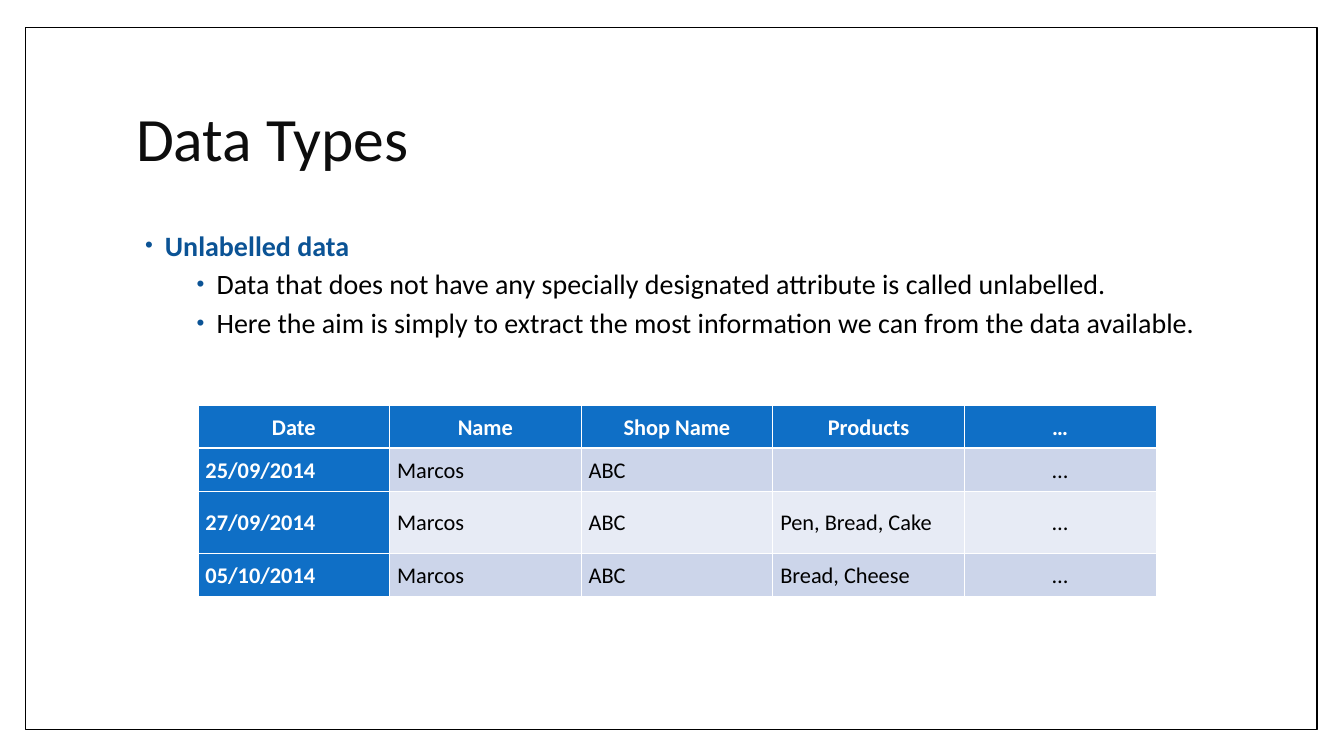
from pptx import Presentation
from pptx.dml.color import RGBColor
from pptx.enum.shapes import MSO_SHAPE
from pptx.enum.text import MSO_ANCHOR, PP_ALIGN
from pptx.oxml import parse_xml
from pptx.oxml.ns import nsdecls
from pptx.util import Cm, Pt

# Content
TITLE = "Data Types"
POINTS = [  # level, text
    (0, "Unlabelled data"),
    (1, "Data that does not have any specially designated attribute is called unlabelled."),
    (1, "Here the aim is simply to extract the most information we can from the data available."),
]
PURCHASES = [
    ("Date", "Name", "Shop Name", "Products", "…"),
    ("25/09/2014", "Marcos", "ABC", "", "…"),
    ("27/09/2014", "Marcos", "ABC", "Pen, Bread, Cake", "…"),
    ("05/10/2014", "Marcos", "ABC", "Bread, Cheese", "…"),
]

THEME = {
    "font": "Calibri",
    "white": "FFFFFF", "black": "000000", "title": "0D0D0D", "accent": "0B5395",
    "header": "0F6FC6", "odd": "CCD5EA", "even": "E7EBF5",
    "title_size": 44, "body_size": 20, "table_size": 16,
}

# Layout in cm
SLIDE_SIZE = (33.88, 19.05)
FRAME = (0.64, 0.69, 32.56, 17.7)
TITLE_BOX = (3.18, 1.7, 27.43, 3.76)
POINTS_BOX = (3.18, 5.72, 27.43, 11.23)
TABLE_LEFT, TABLE_TOP, COLUMN_WIDTH = 4.99, 10.2, 4.83
ROW_HEIGHTS = (1.09, 1.09, 1.56, 1.09)
BULLET_HANG = 0.5
LEVEL_INDENTS = (0.73, 2.03)


def color(name):
    return RGBColor.from_string(THEME[name])


def apply(target, formats):
    for attribute, value in formats.items():
        setattr(target, attribute, value)


def write(paragraph, text, size, ink, bold=False, **formats):
    apply(paragraph, formats)
    run = paragraph.add_run()
    run.text = text
    apply(run.font, {"name": THEME["font"], "size": Pt(THEME[size]), "bold": bold})
    run.font.color.rgb = color(ink)


def add_text_frame(slide, box, anchor):
    frame = slide.shapes.add_textbox(*map(Cm, box)).text_frame
    apply(frame, {"word_wrap": True, "vertical_anchor": anchor})
    return frame


def add_bullet(paragraph, level):
    properties = paragraph._p.get_or_add_pPr()
    properties.set("marL", str(Cm(LEVEL_INDENTS[level])))
    properties.set("indent", str(-Cm(BULLET_HANG)))
    for xml in (
        f'<a:buClr {nsdecls("a")}><a:srgbClr val="{THEME["accent"]}"/></a:buClr>',
        f'<a:buSzPct {nsdecls("a")} val="80000"/>',
        f'<a:buFont {nsdecls("a")} typeface="Arial"/>',
        f'<a:buChar {nsdecls("a")} char="•"/>',
    ):
        properties.append(parse_xml(xml))


def add_borders(cell, row):
    heavy_side = {0: "B", 1: "T"}.get(row)
    for side in "LRTB":
        width = Pt(1.47 if side == heavy_side else 0.45)
        cell._tc.get_or_add_tcPr().append(parse_xml(
            f'<a:ln{side} {nsdecls("a")} w="{width}"><a:solidFill>'
            f'<a:srgbClr val="{THEME["white"]}"/></a:solidFill></a:ln{side}>'))


def add_frame(slide):
    frame = slide.shapes.add_shape(MSO_SHAPE.RECTANGLE, *map(Cm, FRAME))
    frame.shadow.inherit = False
    frame.fill.solid()
    frame.fill.fore_color.rgb = color("white")
    frame.line.color.rgb = color("black")
    frame.line.width = Pt(1)


def add_points(slide):
    frame = add_text_frame(slide, POINTS_BOX, MSO_ANCHOR.TOP)
    for index, (level, text) in enumerate(POINTS):
        paragraph = frame.add_paragraph() if index else frame.paragraphs[0]
        add_bullet(paragraph, level)
        heading = level == 0
        write(paragraph, text, "body_size", "accent" if heading else "black", heading,
              level=level, line_spacing=0.9, space_before=Pt(2 if index else 0),
              space_after=Pt(4))


def add_purchases(slide):
    columns = len(PURCHASES[0])
    table = slide.shapes.add_table(
        len(PURCHASES), columns, Cm(TABLE_LEFT), Cm(TABLE_TOP),
        Cm(COLUMN_WIDTH * columns), Cm(sum(ROW_HEIGHTS))).table
    table.first_col = True
    for column in table.columns:
        column.width = Cm(COLUMN_WIDTH)
    for row, values in enumerate(PURCHASES):
        table.rows[row].height = Cm(ROW_HEIGHTS[row])
        for column, text in enumerate(values):
            cell = table.cell(row, column)
            heading = row == 0 or column == 0
            centred = row == 0 or column == columns - 1
            add_borders(cell, row)
            cell.fill.solid()
            cell.fill.fore_color.rgb = color(
                "header" if heading else "odd" if row % 2 else "even")
            apply(cell, {"vertical_anchor": MSO_ANCHOR.MIDDLE,
                         "margin_left": Cm(0.19), "margin_right": Cm(0.19)})
            if text:
                write(cell.text_frame.paragraphs[0], text, "table_size",
                      "white" if heading else "black", heading, line_spacing=1.07,
                      alignment=PP_ALIGN.CENTER if centred else PP_ALIGN.LEFT)


def main():
    deck = Presentation()
    deck.slide_width, deck.slide_height = map(Cm, SLIDE_SIZE)
    slide = deck.slides.add_slide(deck.slide_layouts[6])

    # Frame and title
    add_frame(slide)
    title = add_text_frame(slide, TITLE_BOX, MSO_ANCHOR.MIDDLE)
    write(title.paragraphs[0], TITLE, "title_size", "title", line_spacing=0.9)

    # Explanation and example
    add_points(slide)
    add_purchases(slide)
    deck.save("out.pptx")


if __name__ == "__main__":
    main()
